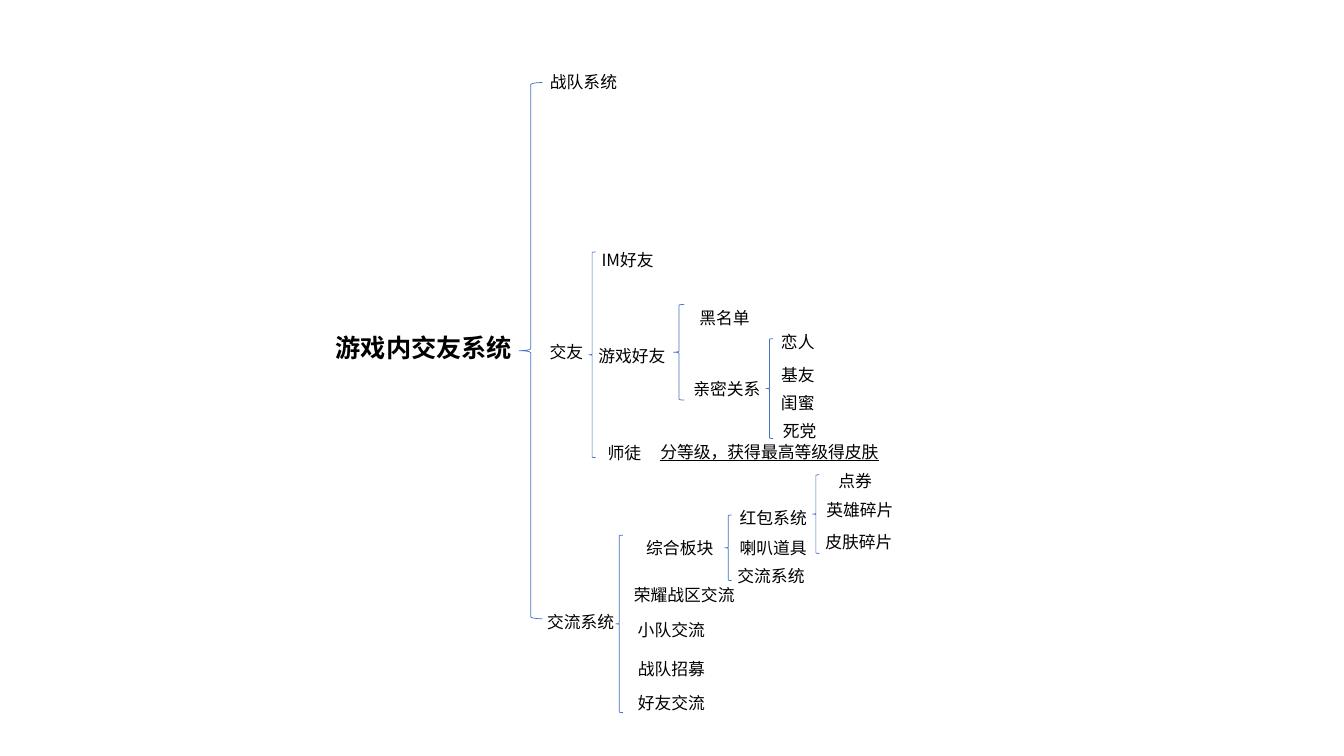
from lxml.etree import SubElement
from pptx import Presentation
from pptx.dml.color import RGBColor
from pptx.enum.shapes import MSO_SHAPE as Preset
from pptx.enum.text import MSO_ANCHOR as Anchor, MSO_AUTO_SIZE as AutoSize, PP_ALIGN as Align
from pptx.oxml.ns import qn
from pptx.util import Pt

FONT = "Noto Sans CJK SC"
BLACK, BLUE = "000000", "4472C4"
LABEL_HEIGHT = 21.6
LABEL_WIDTH = 67.7


def color(hex_string):
    """Turn a hex string into a colour."""
    return RGBColor.from_string(hex_string)


def format_text(text_frame, size, align, bold=False, underline=False):
    """Format the single line of a title or label."""
    text_frame.word_wrap = True
    text_frame.auto_size = AutoSize.SHAPE_TO_FIT_TEXT
    text_frame.vertical_anchor = Anchor.TOP
    paragraph = text_frame.paragraphs[0]
    paragraph.alignment = align
    for run in paragraph.runs:
        run.font.size = Pt(size)
        run.font.bold = bold
        run.font.underline = underline
        run.font.color.rgb = color(BLACK)
        run.font.name = FONT
        SubElement(run.font._element, qn("a:ea"), typeface=FONT)


def add_label(slide, box, text, left, top, width=LABEL_WIDTH, align=Align.LEFT, underline=False):
    """Add one branch label, offset from the corner of its box."""
    label = slide.shapes.add_textbox(
        Pt(box[0] + left), Pt(box[1] + top), Pt(width), Pt(LABEL_HEIGHT))
    label.text_frame.text = text
    format_text(label.text_frame, 12, align, underline=underline)


def add_labels(slide, box, rows):
    """Add several labels given as text, left, top, width and alignment."""
    for row in rows:
        add_label(slide, box, *row)


def add_brace(slide, box, left, top, height, width=5):
    """Add a thin left brace, offset from the corner of its box."""
    brace = slide.shapes.add_shape(
        Preset.LEFT_BRACE, Pt(box[0] + left), Pt(box[1] + top), Pt(width), Pt(height))
    brace.shadow.inherit = False
    brace.fill.background()
    brace.line.color.rgb = color(BLUE)
    brace.line.width = Pt(0.5)


def build_root(slide, box):
    """Place the title and the three main branches."""
    title = slide.shapes.title
    title.left, title.top = Pt(box[0]), Pt(box[1] + 186.5)
    title.width, title.height = Pt(151.2), Pt(28.8)
    title.text_frame.text = "游戏内交友系统"
    format_text(title.text_frame, 18, Align.LEFT, bold=True)
    add_brace(slide, box, 138.2, 11.5, 383, width=16.6)
    add_labels(slide, box, [
        ("战队系统", 150.4, 0, LABEL_WIDTH, Align.CENTER),
        ("交友", 138.2, 193, LABEL_WIDTH, Align.CENTER),
        ("交流系统", 148.3, 385.9, LABEL_WIDTH, Align.CENTER),
    ])


def build_friends(slide, box):
    """Place the kinds of friends and the in-game friend lists."""
    add_brace(slide, box, 2.9, 5, 146.9)
    add_brace(slide, box, 63.4, 42.4, 68.4, width=7.9)
    add_labels(slide, box, [
        ("IM好友", 5, 0, 66.2),
        ("游戏好友", 0, 68.4, LABEL_WIDTH, Align.CENTER),
        ("黑名单", 66.2, 41, LABEL_WIDTH, Align.CENTER),
        ("亲密关系", 70.6, 92.1, 76.3),
        ("师徒", 9.4, 137.5, 60.5),
        ("分等级，获得最高等级得皮肤", 44.6, 136.8, 175, Align.CENTER, True),
    ])
    build_intimacy(slide, (box[0] + 129.6, box[1] + 58.3))


def build_intimacy(slide, box):
    """Place the close relationships."""
    add_brace(slide, box, 0, 8.6, 71.3)
    add_labels(slide, box, [
        ("恋人", 3.6, 0),
        ("基友", 3.6, 23.8, 43.9),
        ("闺蜜", 3.6, 43.9, 40.3),
        ("死党", 5, 63.4, 46.1),
    ])


def build_exchange(slide, box):
    """Place the chat channels and the parts of the general panel."""
    add_brace(slide, box, 3.6, 23, 126.7)
    add_brace(slide, box, 81.4, 8.6, 46.8)
    add_labels(slide, box, [
        ("综合板块", 0, 21.6, 98.6, Align.CENTER),
        ("荣耀战区交流", 9.4, 54.7, 92.9),
        ("小队交流", 9.4, 79.9, LABEL_WIDTH, Align.CENTER),
        ("战队招募", 12.2, 108, 65.5),
        ("好友交流", 12.2, 131.8, 65.5),
        ("红包系统", 85, 0),
        ("喇叭道具", 82.1, 21.6, LABEL_WIDTH, Align.CENTER),
        ("交流系统", 80.6, 41, LABEL_WIDTH, Align.CENTER),
    ])
    build_rewards(slide, (box[0] + 144, box[1] - 26.7))


def build_rewards(slide, box):
    """Place the red packet rewards."""
    add_brace(slide, box, 0, 6.5, 56.2)
    add_labels(slide, box, [
        ("点券", 11.5, 0, 65.5),
        ("英雄碎片", 2.9, 20.9, 84.2),
        ("皮肤碎片", 2.2, 43.9, 65.5),
    ])


def main():
    """Build the mind map slide and save it."""
    presentation = Presentation()
    presentation.slide_width, presentation.slide_height = Pt(960), Pt(540)
    slide = presentation.slides.add_slide(presentation.slide_layouts[5])
    build_root(slide, (232.6, 47.5))
    build_friends(slide, (417.6, 175))
    build_exchange(slide, (436.3, 359.3))
    presentation.save("out.pptx")


main()
